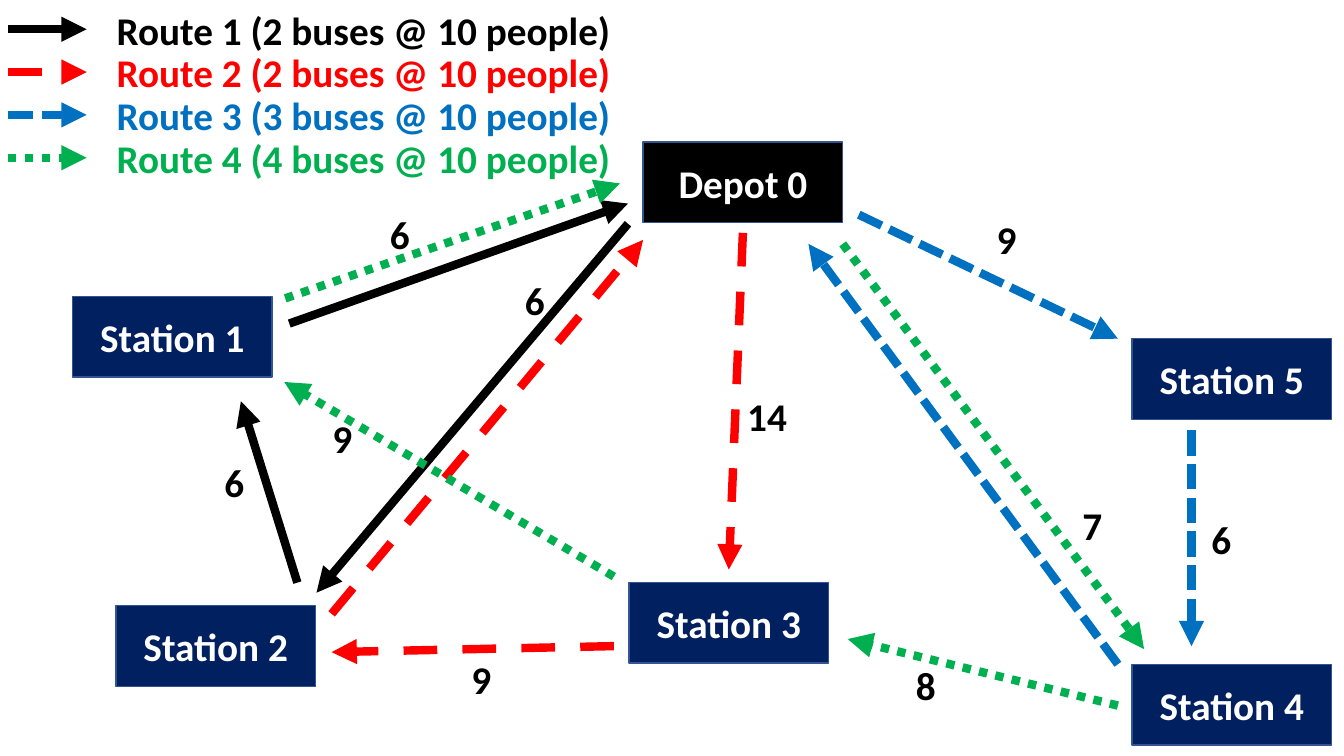
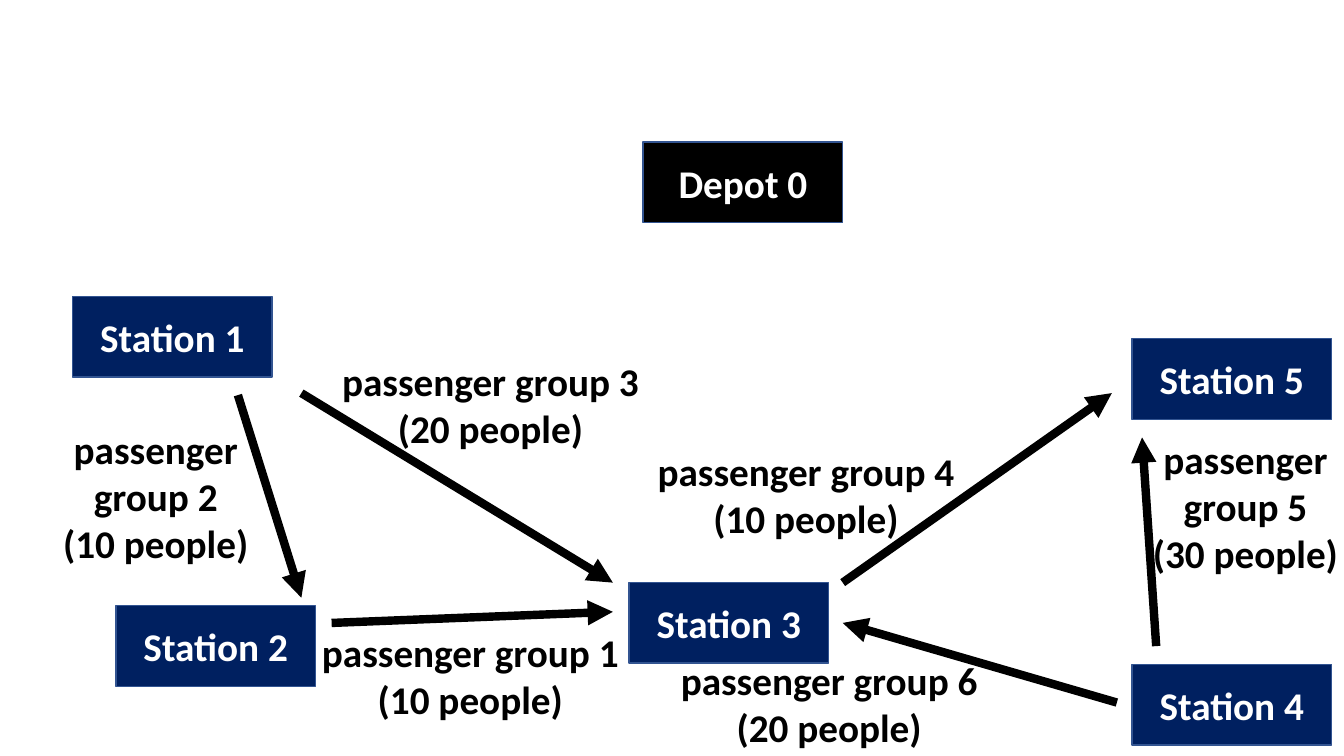
from lxml.etree import SubElement
from pptx import Presentation
from pptx.dml.color import RGBColor
from pptx.enum.dml import MSO_LINE as Dash
from pptx.enum.shapes import MSO_CONNECTOR as Connector, MSO_SHAPE as Shape
from pptx.enum.text import MSO_ANCHOR as Anchor, MSO_AUTO_SIZE as AutoSize, PP_ALIGN as Align
from pptx.oxml.ns import qn
from pptx.util import Inches, Pt

# Fine grid: ten columns and ten rows to the inch
COLUMNS, ROWS = 133.33, 75
COLORS = {"black": "000000", "white": "FFFFFF", "navy": "002060", "border": "325491",
          "red": "FF0000", "blue": "0070C0", "green": "00B050"}

# Route number: colour, dash, buses
ROUTES = {1: ("black", None, 2), 2: ("red", Dash.DASH, 2),
          3: ("blue", Dash.SQUARE_DOT, 3), 4: ("green", Dash.ROUND_DOT, 4)}

# Stop: left column, top row, fill
STOPS = {"Depot 0": (63.8, 14.1, "black"), "Station 1": (7.2, 29.4, "navy"),
         "Station 2": (11.5, 60.1, "navy"), "Station 3": (62.4, 57.8, "navy"),
         "Station 4": (112.3, 65.9, "navy"), "Station 5": (112.3, 33.6, "navy")}
STOP_SIZE = (19.8, 8)

# Legs of each route: start column and row, end column and row
LEGS = {1: [(62.3, 22.2, 31.4, 58.8), (29.5, 57.8, 23.9, 39.8), (28.7, 32.1, 62.3, 20.2)],
        2: [(73.7, 23.1, 72.3, 56.5), (60.9, 64.1, 32.9, 64.7), (32.9, 60.9, 63.8, 23.8)],
        3: [(85.2, 21.3, 110.9, 33.6), (118.2, 42.7, 118.2, 64.1), (110.9, 65.9, 80.2, 24.2)],
        4: [(83.6, 24.2, 113.5, 64.4), (110.9, 70, 84.1, 63.4),
            (60.9, 57.2, 28.2, 37.9), (28.3, 29.6, 61.5, 18.2)]}

# Travel times: number, left column, top row, width
TIMES = [("6", 21.2, 45, 4.1), ("6", 37.6, 20.4, 4.1), ("6", 51, 26.9, 4.1),
         ("8", 89.8, 65.1, 4.1), ("9", 31.9, 40.6, 4.1), ("9", 45.7, 64.5, 4.1),
         ("14", 73.1, 38.4, 6), ("9", 97.8, 20.9, 4.1), ("7", 106.3, 49.2, 4.1),
         ("6", 119.1, 50.6, 4.1)]

# Passenger group: people, caption box, arrow ends
WIDE, NARROW = (34.1, 10.4), (20.5, 15.1)
GROUPS = {1: (10, (29.6, 61.8, *WIDE), (32.9, 61.8, 60.8, 60.7)),
          2: (10, (5.2, 41.7, *NARROW), (23.6, 39.2, 29.9, 59.3)),
          3: (20, (31.6, 35, *WIDE), (29.9, 39, 60.8, 57.8)),
          4: (10, (62.9, 43.9, *WIDE), (83.6, 57.8, 110.3, 39)),
          5: (30, (113.3, 42.7, *NARROW), (114.7, 64.1, 113.3, 43.4)),
          6: (20, (65.2, 64.6, *WIDE), (110.8, 69.7, 83.6, 61.8))}


class Diagram:
    """House style plus the slide being drawn."""
    font, size, arrow_width = "Calibri", Pt(28), Pt(6)

    def __init__(self):
        self.deck = Presentation()
        self.deck.slide_width, self.deck.slide_height = Inches(13.33), Inches(7.5)
        self.slide = None

    def new_slide(self):
        self.slide = self.deck.slides.add_slide(self.deck.slide_layouts[6])

    def place(self, *lengths):
        """Turn alternating columns and rows into slide lengths."""
        units = (self.deck.slide_width / COLUMNS, self.deck.slide_height / ROWS)
        return [round(length * units[i % 2]) for i, length in enumerate(lengths)]

    @staticmethod
    def color(name):
        return RGBColor.from_string(COLORS[name])

    def set_text(self, frame, text, color, align):
        frame.text = text
        for paragraph in frame.paragraphs:
            paragraph.alignment = align
            font = paragraph.font
            font.name, font.size, font.bold = self.font, self.size, True
            font.color.rgb = self.color(color)

    def label(self, text, box, color="black", align=Align.CENTER, wrap=False):
        frame = self.slide.shapes.add_textbox(*self.place(*box)).text_frame
        self.set_text(frame, text, color, align)
        frame.auto_size = AutoSize.SHAPE_TO_FIT_TEXT
        frame.word_wrap = wrap

    def stop(self, name, left, top, fill):
        stop = self.slide.shapes.add_shape(Shape.RECTANGLE, *self.place(left, top, *STOP_SIZE))
        stop.shadow.inherit = False
        stop.fill.solid()
        stop.fill.fore_color.rgb = self.color(fill)
        stop.line.color.rgb = self.color("border")
        stop.line.width = Pt(1)
        stop.text_frame.vertical_anchor = Anchor.MIDDLE
        self.set_text(stop.text_frame, name, "white", Align.CENTER)

    def stops(self):
        for name, place in STOPS.items():
            self.stop(name, *place)

    def arrow(self, ends, color="black", dash=None):
        arrow = self.slide.shapes.add_connector(Connector.STRAIGHT, *self.place(*ends))
        arrow.line.color.rgb = self.color(color)
        arrow.line.width = self.arrow_width
        if dash:
            arrow.line.dash_style = dash
        properties = arrow.element.spPr
        SubElement(properties.find(qn("a:ln")), qn("a:tailEnd"), type="triangle")
        SubElement(properties, qn("a:effectLst"))


def draw_routes(diagram):
    diagram.new_slide()
    diagram.stops()
    for row, (route, (color, dash, buses)) in enumerate(ROUTES.items()):
        # Legend entry
        top = 0.1 + 4.25 * row
        diagram.arrow((0.8, top + 2.8, 8.6, top + 2.8), color, dash)
        diagram.label(f"Route {route} ({buses} buses @ 10 people)",
                      (10.6, top, 51.5, 5.7), color, Align.LEFT)
        # Legs on the map
        for leg in LEGS[route]:
            diagram.arrow(leg, color, dash)
    # Travel times beside the legs
    for time, left, top, width in TIMES:
        diagram.label(time, (left, top, width, 5.7))


def draw_passengers(diagram):
    diagram.new_slide()
    diagram.stops()
    for group, (people, caption_box, trip) in GROUPS.items():
        diagram.arrow(trip)
        diagram.label(f"passenger group {group}\n({people} people)", caption_box, wrap=True)


def main():
    diagram = Diagram()
    draw_routes(diagram)
    draw_passengers(diagram)
    diagram.deck.save("out.pptx")


if __name__ == "__main__":
    main()
